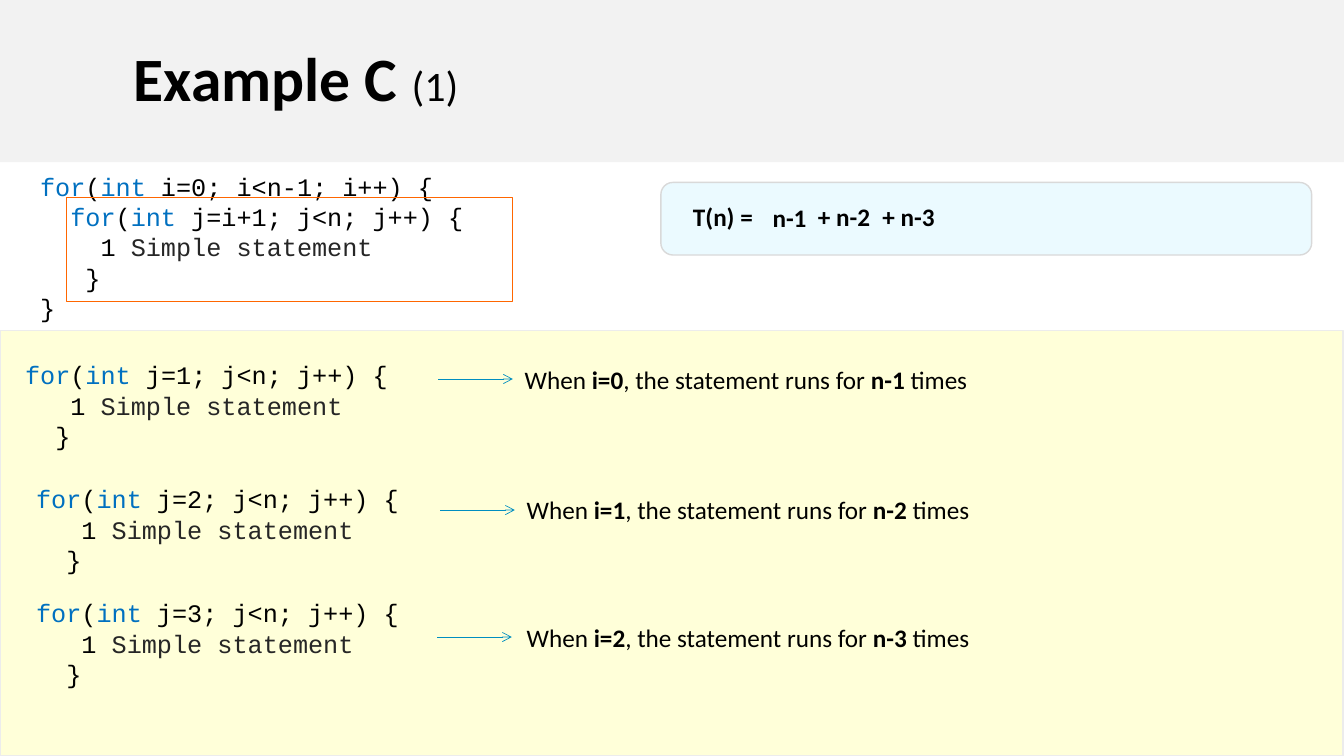
from lxml.etree import SubElement
from pptx import Presentation
from pptx.dml.color import RGBColor
from pptx.enum.shapes import MSO_CONNECTOR as Connector, MSO_SHAPE as Shape
from pptx.enum.text import MSO_ANCHOR as Anchor, MSO_AUTO_SIZE as AutoSize, PP_ALIGN as Align
from pptx.oxml.ns import qn
from pptx.util import Inches, Pt

COLORS = {
    "black": "000000", "keyword": "0070C0", "statement": "262626",
    "title": "F2F2F2", "unrolled": "FFFFD9", "unrolled_line": "ECECEC",
    "formula": "EBFAFF", "formula_line": "D9D9D9", "highlight": "FF6600", "arrow": "008EC0",
}
STYLES = {
    "code": {"name": "Courier New", "size": Pt(18), "bold": False, "color": "black"},
    "keyword": {"name": "Courier New", "size": Pt(18), "bold": False, "color": "keyword"},
    "statement": {"name": "Courier New", "size": Pt(18), "bold": False, "color": "statement"},
    "plain": {"name": "Calibri", "size": Pt(18), "bold": False, "color": "black"},
    "strong": {"name": "Calibri", "size": Pt(18), "bold": True, "color": "black"},
    "title": {"name": "Calibri", "size": Pt(44), "bold": True, "color": "black"},
    "title_part": {"name": "Calibri", "size": Pt(30), "bold": False, "color": "black"},
}


def rgb(name):
    return RGBColor.from_string(COLORS[name])


def add_runs(paragraph, runs):
    for text, style in runs:
        run = paragraph.add_run()
        run.text = text
        for attribute, value in STYLES[style].items():
            if attribute == "color":
                run.font.color.rgb = rgb(value)
            else:
                setattr(run.font, attribute, value)


def add_text(slide, box, lines, wrap=True):
    """Add a text box; each line is a list of (text, style) runs."""
    frame = slide.shapes.add_textbox(*map(Inches, box)).text_frame
    frame.word_wrap = wrap
    for index, runs in enumerate(lines):
        paragraph = frame.add_paragraph() if index else frame.paragraphs[0]
        add_runs(paragraph, runs)


def add_panel(slide, box, line, fill=None, kind=Shape.RECTANGLE):
    shape = slide.shapes.add_shape(kind, *map(Inches, box))
    shape.shadow.inherit = False
    if fill:
        shape.fill.solid()
        shape.fill.fore_color.rgb = rgb(fill)
    else:
        shape.fill.background()
    shape.line.color.rgb = rgb(line)
    shape.line.width = Pt(1)


def add_arrow(slide, left, top, length):
    arrow = slide.shapes.add_connector(
        Connector.STRAIGHT, *map(Inches, (left, top, left + length, top)))
    arrow.line.color.rgb = rgb("arrow")
    arrow.line.width = Pt(0.5)
    SubElement(arrow.line._get_or_add_ln(), qn("a:tailEnd"), type="arrow")
    SubElement(arrow._element.spPr, qn("a:effectLst"))


def loop_code(indent, condition):
    """Return the lines of a loop around one simple statement."""
    return [
        [(indent, "code"), ("for", "keyword"), ("(", "code"), ("int", "keyword"),
         (f" {condition}) {{", "code")],
        [("    1 ", "code"), ("Simple statement", "statement")],
        [("   }", "code")],
    ]


def add_title(slide, box):
    title = slide.shapes.title
    title.left, title.top, title.width, title.height = map(Inches, box)
    title.fill.solid()
    title.fill.fore_color.rgb = rgb("title")
    frame = title.text_frame
    frame.auto_size = AutoSize.NONE
    frame.vertical_anchor = Anchor.MIDDLE
    frame.margin_left = Inches(1.33)
    paragraph = frame.paragraphs[0]
    paragraph.alignment = Align.LEFT
    paragraph.line_spacing = 0.9
    add_runs(paragraph, [("Example C ", "title"), ("(1)", "title_part")])


def add_nested_loops(slide, box):
    left, top, width, height = box
    outer_header = loop_code("", "i=0; i<n-1; i++")[0]
    inner_loop = loop_code("  ", "j=i+1; j<n; j++")
    add_text(slide, box, [outer_header, *inner_loop, [("}", "code")]])
    add_panel(slide, (left + 0.36, top + 0.31, 4.43, 1.03), "highlight")


def add_formula(slide, box):
    left, top, width, height = box
    add_panel(slide, box, "formula_line", "formula", Shape.ROUNDED_RECTANGLE)
    terms = [("T(n) =", 0.22, 0.14, 0.85), ("n-1", 1.01, 0.15, 0.54),
             ("+ n-2", 1.46, 0.14, 0.72), ("+ n-3", 2.1, 0.14, 0.72)]
    for text, x, y, term_width in terms:
        add_text(slide, (left + x, top + y, term_width, 0.4), [[(text, "strong")]], wrap=False)


def add_unrolled_loops(slide, box):
    left, top, width, height = box
    add_panel(slide, box, "unrolled_line", "unrolled")
    # Left and top of the code, the arrow and the note in each row
    rows = [((0, 0.24), (4.35, 0.48), (5.11, 0.29)),
            ((0.11, 1.47), (4.37, 1.78), (5.13, 1.58)),
            ((0.11, 2.6), (4.34, 3.04), (5.13, 2.84))]
    for i, (code, arrow, note) in enumerate(rows):
        add_text(slide, (left + code[0], top + code[1], 4.35, 1),
                 loop_code(" ", f"j={i + 1}; j<n; j++"))
        add_arrow(slide, left + arrow[0], top + arrow[1], 0.74)
        add_text(slide, (left + note[0], top + note[1], 4.61, 0.4),
                 [[("When", "plain"), (f" i={i}", "strong"),
                   (", the statement runs for ", "plain"),
                   (f"n-{i + 1} ", "strong"), ("times", "plain")]], wrap=False)


def main():
    presentation = Presentation()
    presentation.slide_width = Inches(13.34)
    presentation.slide_height = Inches(7.5)
    slide = presentation.slides.add_slide(presentation.slide_layouts[5])
    add_title(slide, (0, 0, 13.34, 1.61))
    add_unrolled_loops(slide, (0, 3.28, 13.33, 4.22))
    add_formula(slide, (6.56, 1.81, 6.46, 0.72))
    add_nested_loops(slide, (0.3, 1.65, 6.67, 1.6))
    presentation.save("out.pptx")


if __name__ == "__main__":
    main()
